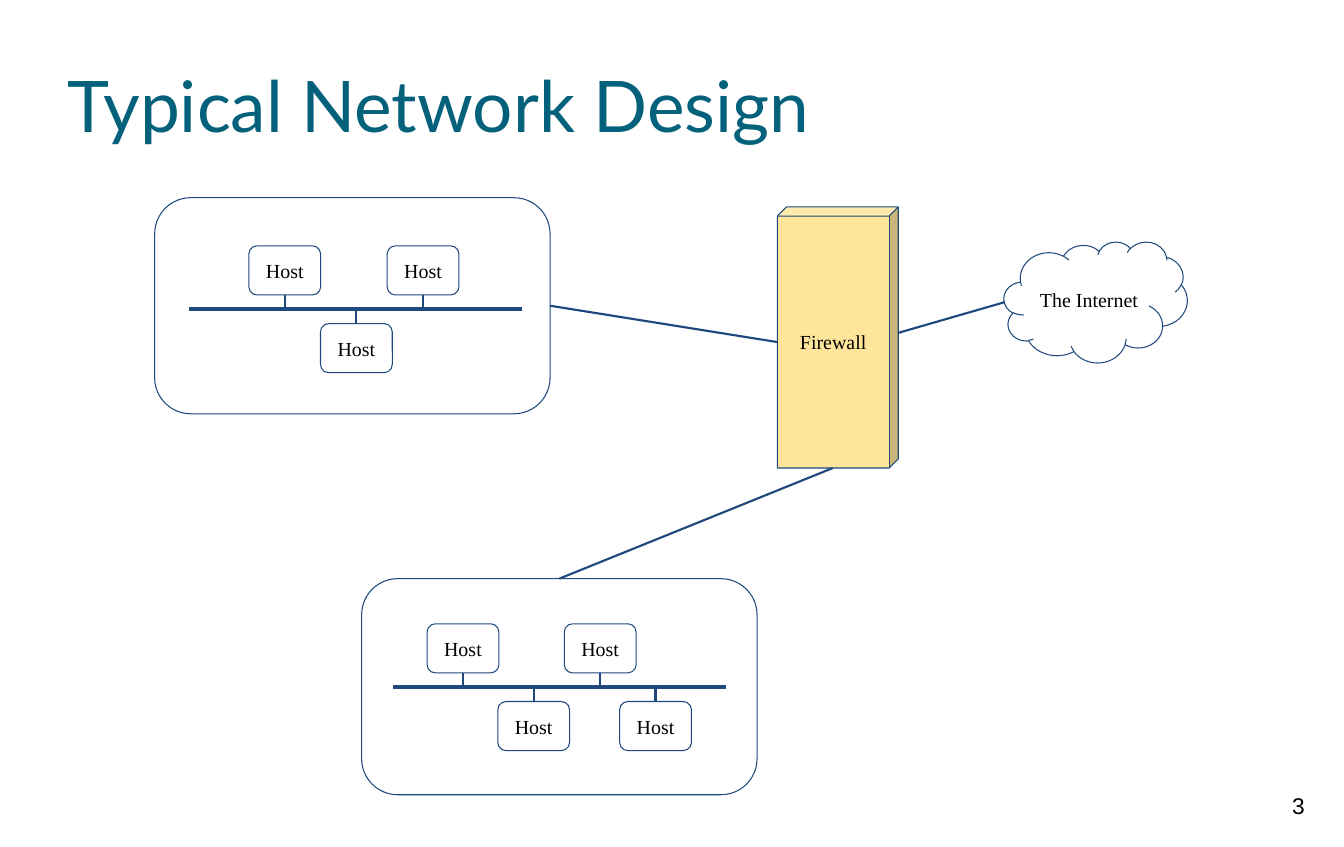
import dataclasses

import pptx
import pptx.dml.color
import pptx.enum.shapes
import pptx.enum.text
import pptx.oxml.ns
import pptx.presentation
import pptx.shapes.autoshape
import pptx.slide
import pptx.util
from lxml import etree

SHAPES = pptx.enum.shapes.MSO_SHAPE
ALIGN = pptx.enum.text.PP_ALIGN
ANCHOR = pptx.enum.text.MSO_ANCHOR

WIDTH = pptx.util.Inches(13.12)
HEIGHT = pptx.util.Inches(8.27)
COLUMNS = ROWS = 100

NAVY = "1F497D"
TEAL = "04617B"
SAND = "FFE599"
WHITE = "FFFFFF"
BLACK = "000000"

HOST_WIDTH = 5.34
HOST_HEIGHT = 5.8
STUB = 1.69
BUS_LENGTH = 24.77


@dataclasses.dataclass(frozen=True)
class Area:
    left: float
    top: float
    width: float
    height: float

    @property
    def right(self) -> float:
        return self.left + self.width

    @property
    def bottom(self) -> float:
        return self.top + self.height

    @property
    def center(self) -> float:
        return self.left + self.width / 2

    @property
    def middle(self) -> float:
        return self.top + self.height / 2


@dataclasses.dataclass(frozen=True)
class Subnet:
    area: Area
    bus_left: float
    bus_row: float
    upper_hosts: tuple[float, ...]
    lower_hosts: tuple[float, ...]


@dataclasses.dataclass(frozen=True)
class Link:
    start: tuple[float, float]
    end: tuple[float, float]
    weight: float = 1.5


OFFICE = Subnet(Area(11.51, 23.34, 29.42, 25.51), 14.1, 36.52, (21.19, 31.48), (26.52,))
SERVERS = Subnet(Area(26.91, 68.32, 29.42, 25.51), 29.27, 81.14, (34.45, 44.66), (39.71, 48.78))
FIREWALL = Area(57.85, 24.43, 8.99, 30.83)
INTERNET = Area(74.7, 28.54, 13.64, 14.27)
TITLE = Area(5.03, 3.99, 90.02, 16.69)
PAGE_NUMBER = Area(93.6, 92.26, 6.02, 7.62)

LINKS = (
    Link((OFFICE.area.right, OFFICE.area.middle), (FIREWALL.left, 40.39)),
    Link((SERVERS.area.center, SERVERS.area.top), (61.97, FIREWALL.bottom)),
    Link((FIREWALL.right, 39.3), (74.77, 35.67)),
)


def across(columns: float) -> int:
    return round(WIDTH * columns / COLUMNS)


def down(rows: float) -> int:
    return round(HEIGHT * rows / ROWS)


def place(area: Area) -> tuple[int, int, int, int]:
    return across(area.left), down(area.top), across(area.width), down(area.height)


def color(value: str) -> pptx.dml.color.RGBColor:
    return pptx.dml.color.RGBColor.from_string(value)


def write(box: pptx.shapes.autoshape.Shape, text: str, *, size: float = 14,
          font: str = "Times New Roman", ink: str = BLACK, align: ALIGN = ALIGN.CENTER,
          anchor: ANCHOR = ANCHOR.MIDDLE, inset: float = 0.1) -> None:
    frame = box.text_frame
    frame.word_wrap = True
    frame.vertical_anchor = anchor
    margin = pptx.util.Inches(inset)
    frame.margin_left = frame.margin_right = margin
    frame.margin_top = frame.margin_bottom = margin
    para = frame.paragraphs[0]
    para.alignment = align
    span = para.add_run()
    span.text = text
    span.font.size = pptx.util.Pt(size)
    span.font.name = font
    span.font.color.rgb = color(ink)


def draw_shape(page: pptx.slide.Slide, kind: SHAPES, area: Area, *, fill: str | None = None,
               text: str = "", corner: float | None = None) -> None:
    shape = page.shapes.add_shape(kind, *place(area))
    shape.shadow.inherit = False
    if corner is not None:
        shape.adjustments[0] = corner
    if fill is None:
        shape.fill.background()
    else:
        shape.fill.solid()
        shape.fill.fore_color.rgb = color(fill)
    shape.line.color.rgb = color(NAVY)
    shape.line.width = pptx.util.Pt(0.75)
    if text:
        write(shape, text)


def draw_link(page: pptx.slide.Slide, link: Link) -> None:
    line = page.shapes.add_connector(
        pptx.enum.shapes.MSO_CONNECTOR.STRAIGHT,
        across(link.start[0]), down(link.start[1]), across(link.end[0]), down(link.end[1]))
    line.line.color.rgb = color(NAVY)
    line.line.width = pptx.util.Pt(link.weight)
    properties = line._element.find(pptx.oxml.ns.qn("p:spPr"))
    etree.SubElement(properties, pptx.oxml.ns.qn("a:effectLst"))


def draw_host(page: pptx.slide.Slide, center: float, bus_row: float, above: bool) -> None:
    edge = bus_row - STUB if above else bus_row + STUB
    top = edge - HOST_HEIGHT if above else edge
    draw_link(page, Link((center, bus_row), (center, edge)))
    area = Area(center - HOST_WIDTH / 2, top, HOST_WIDTH, HOST_HEIGHT)
    draw_shape(page, SHAPES.ROUNDED_RECTANGLE, area, fill=WHITE, text="Host", corner=0.167)


def draw_subnet(page: pptx.slide.Slide, subnet: Subnet) -> None:
    draw_shape(page, SHAPES.ROUNDED_RECTANGLE, subnet.area, corner=0.167)
    bus_right = subnet.bus_left + BUS_LENGTH
    draw_link(page, Link((subnet.bus_left, subnet.bus_row), (bus_right, subnet.bus_row), 3))
    for center in subnet.upper_hosts:
        draw_host(page, center, subnet.bus_row, above=True)
    for center in subnet.lower_hosts:
        draw_host(page, center, subnet.bus_row, above=False)


def build() -> pptx.presentation.Presentation:
    deck = pptx.Presentation()
    deck.slide_width, deck.slide_height = WIDTH, HEIGHT
    page = deck.slides.add_slide(deck.slide_layouts[6])
    write(page.shapes.add_textbox(*place(TITLE)), "Typical Network Design",
          size=50, font="Lato", ink=TEAL, align=ALIGN.LEFT, inset=0)
    write(page.shapes.add_textbox(*place(PAGE_NUMBER)), "3",
          size=16, font="Arial", anchor=ANCHOR.TOP)
    for subnet in (OFFICE, SERVERS):
        draw_subnet(page, subnet)
    draw_shape(page, SHAPES.CUBE, FIREWALL, fill=SAND, text="Firewall", corner=0.076)
    draw_shape(page, SHAPES.CLOUD, INTERNET, fill=WHITE, text="The Internet")
    for link in LINKS:
        draw_link(page, link)
    return deck


if __name__ == "__main__":
    build().save("out.pptx")
